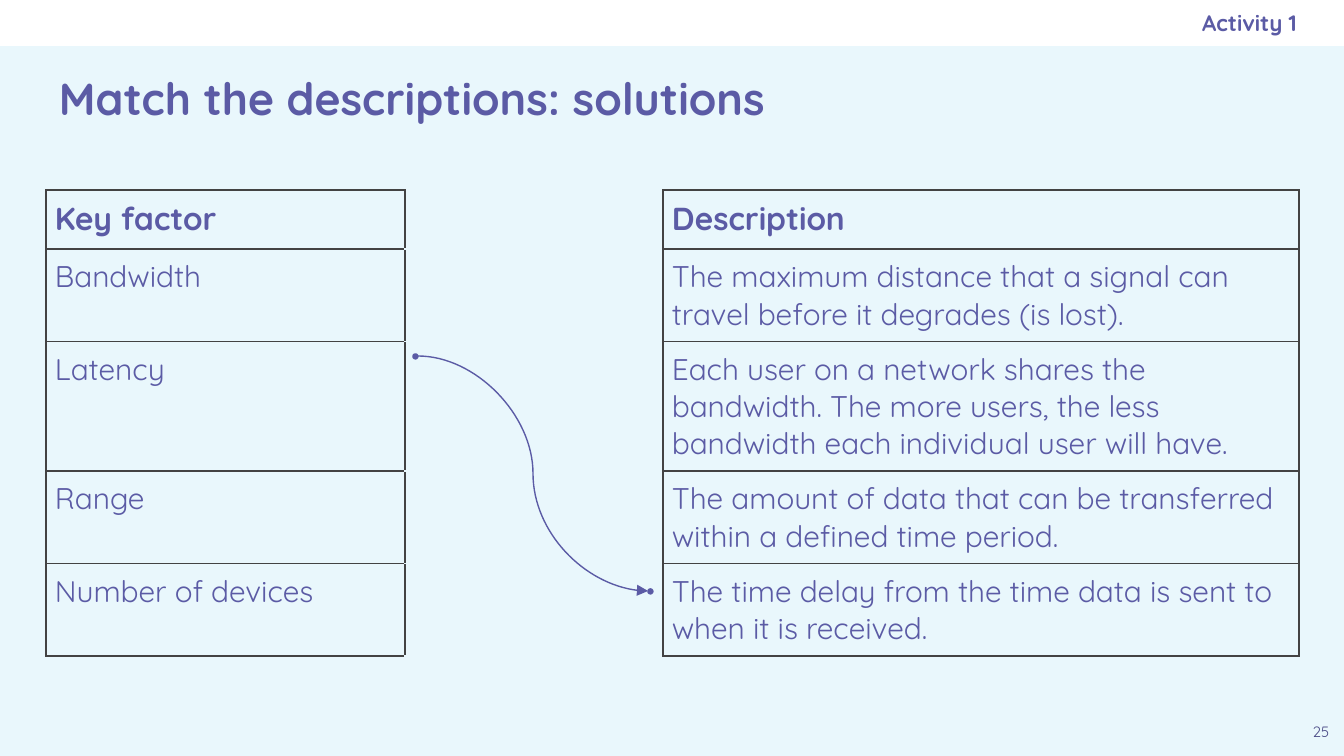
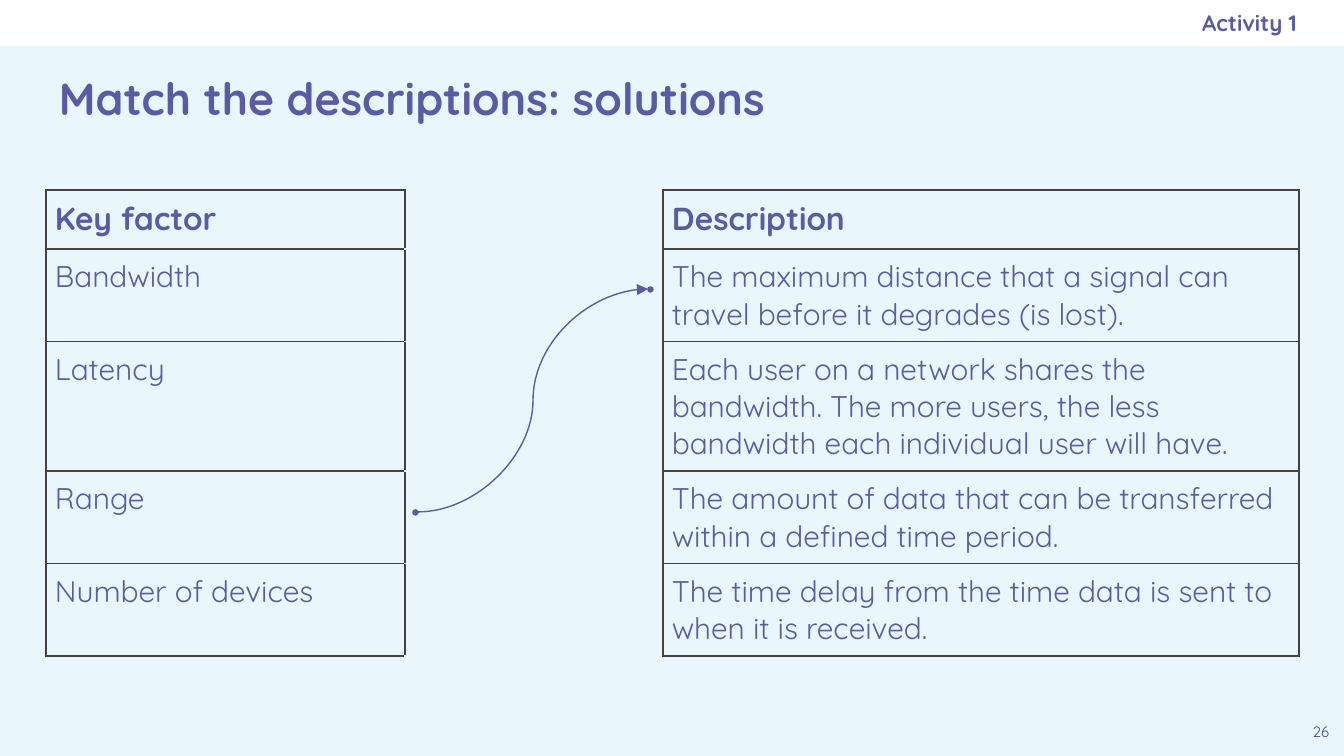
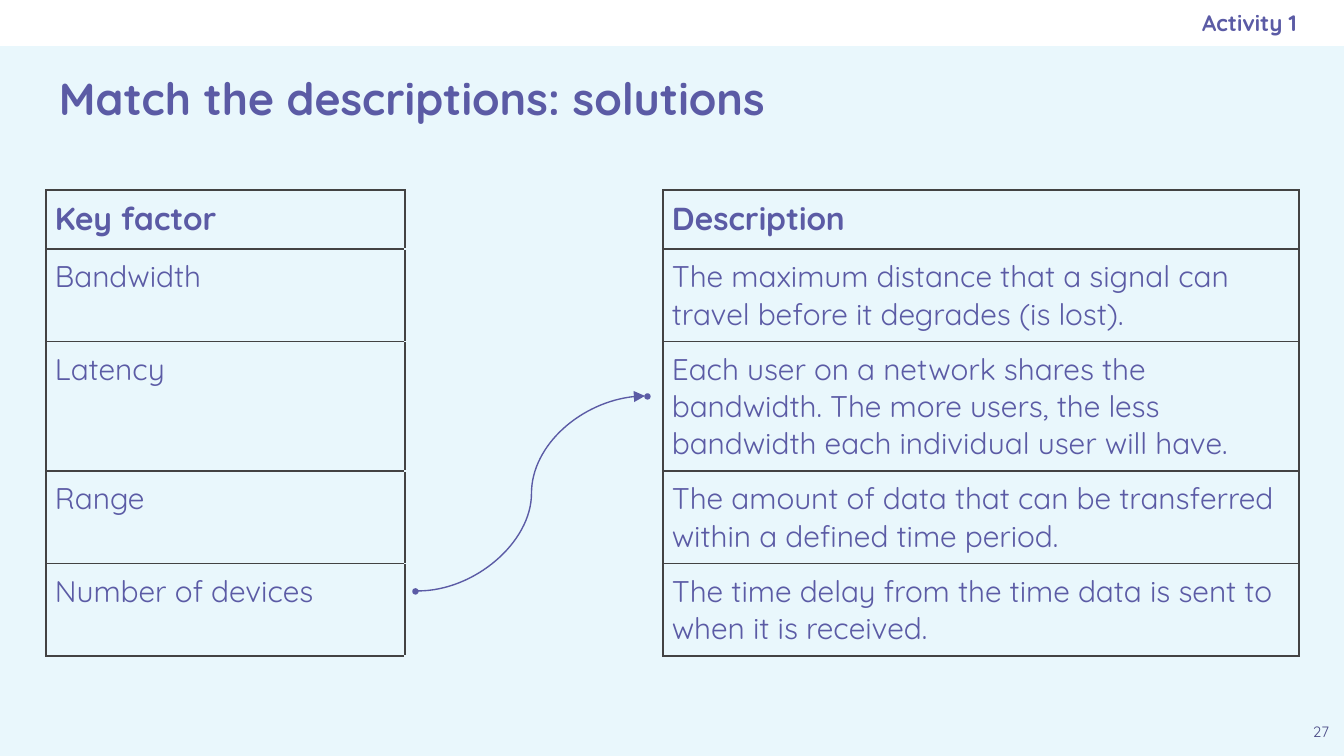
from dataclasses import dataclass

from lxml.etree import SubElement
from pptx import Presentation
from pptx.dml.color import RGBColor
from pptx.enum.shapes import MSO_CONNECTOR as Connector, MSO_SHAPE as Preset
from pptx.enum.text import MSO_ANCHOR as Anchor, MSO_AUTO_SIZE as AutoSize, PP_ALIGN as Align
from pptx.oxml.ns import qn
from pptx.util import Emu, Pt


@dataclass(frozen=True)
class Theme:
    """Colours, font and type sizes in points."""

    background: str = "E9F7FC"
    band: str = "FFFFFF"
    ink: str = "5B5BA5"
    number_ink: str = "494985"
    border: str = "434343"
    font: str = "Quicksand"
    title_size: int = 24
    header_size: int = 17
    body_size: int = 16
    label_size: int = 12
    number_size: int = 8
    border_width: float = 1
    line_width: float = 0.75


@dataclass(frozen=True)
class Box:
    """A rectangle in px."""

    left: int
    top: int
    width: int
    height: int

    def emu(self) -> tuple[Emu, Emu, Emu, Emu]:
        """Return the rectangle in EMU."""
        return px(self.left), px(self.top), px(self.width), px(self.height)


@dataclass(frozen=True)
class Match:
    """A link from a key factor to its description, in px."""

    number: int
    start_y: int
    end_y: int
    end_x: int = 648


THEME = Theme()
EMU_PER_PX = 914400 / 134.4
SLIDE = Box(0, 0, 1344, 756)
BAND = Box(0, 0, 1344, 46)
TITLE = Box(46, 47, 1252, 102)
LABEL = Box(773, 0, 524, 46)
NUMBER = Box(1298, 710, 46, 46)
INSET = 13
CELL_INSET = 9
DOT = 5
START_X = 418
TABLE_LEFT, TABLE_TOP = 46, 190
COLUMNS = (359, 258, 636)
ROWS = (57, 86, 118, 86, 86)
GAP_COLUMN = 1

TITLE_TEXT = "Match the descriptions: solutions"
LABEL_TEXT = "Activity 1"
FACTORS = (
    ("Key factor", "Description"),
    ("Bandwidth", "The maximum distance that a signal can travel before it degrades (is lost)."),
    ("Latency", "Each user on a network shares the bandwidth. The more users, "
                "the less bandwidth each individual user will have."),
    ("Range", "The amount of data that can be transferred within a defined time period."),
    ("Number of devices", "The time delay from the time data is sent to when it is received."),
)
MATCHES = (Match(25, 356, 591), Match(26, 512, 289), Match(27, 591, 396, end_x=645))


def px(length: int) -> Emu:
    """Turn px into EMU."""
    return Emu(round(length * EMU_PER_PX))


def rgb(value: str) -> RGBColor:
    """Turn a hex string into a colour."""
    return RGBColor.from_string(value)


def write(frame, text: str, size: int, bold: bool = False,
          color: str = THEME.ink, align: Align = Align.LEFT) -> None:
    """Put one formatted run in the first paragraph of a text frame."""
    paragraph = frame.paragraphs[0]
    paragraph.alignment = align
    paragraph.space_before = Pt(0)
    run = paragraph.add_run()
    run.text = text
    run.font.name = THEME.font
    run.font.size = Pt(size)
    run.font.bold = bold
    run.font.color.rgb = rgb(color)


def place(shape, box: Box, anchor: Anchor, right_inset: int = INSET):
    """Move a text shape and return its prepared text frame."""
    shape.left, shape.top, shape.width, shape.height = box.emu()
    frame = shape.text_frame
    frame.word_wrap = True
    frame.auto_size = AutoSize.NONE
    frame.vertical_anchor = anchor
    frame.margin_left = frame.margin_top = frame.margin_bottom = px(INSET)
    frame.margin_right = px(right_inset)
    return frame


def add_solid(slide, preset: Preset, box: Box, color: str):
    """Add a filled preset shape without a line or shadow."""
    shape = slide.shapes.add_shape(preset, *box.emu())
    shape.shadow.inherit = False
    shape.fill.solid()
    shape.fill.fore_color.rgb = rgb(color)
    shape.line.fill.background()
    return shape


def style_master(presentation, slide) -> None:
    """Give the slide master its background and top band."""
    master = presentation.slide_master
    fill = master.background.fill
    fill.solid()
    fill.fore_color.rgb = rgb(THEME.background)
    band = add_solid(slide, Preset.RECTANGLE, BAND, THEME.band)
    master.shapes._spTree.insert(2, band._element)


def set_borders(cell, horizontal: str) -> None:
    """Draw the four borders of a cell."""
    properties = cell._tc.get_or_add_tcPr()
    sides = {"L": THEME.border, "R": THEME.border, "T": horizontal, "B": horizontal}
    for side, color in sides.items():
        line = SubElement(properties, qn(f"a:ln{side}"), w=str(Pt(THEME.border_width)))
        SubElement(SubElement(line, qn("a:solidFill")), qn("a:srgbClr"), val=color)


def add_factor_table(slide) -> None:
    """Add the key factors and descriptions around an empty column."""
    box = Box(TABLE_LEFT, TABLE_TOP, sum(COLUMNS), sum(ROWS))
    table = slide.shapes.add_table(len(ROWS), len(COLUMNS), *box.emu()).table
    table.first_row = table.horz_banding = False
    for column, width in zip(table.columns, COLUMNS):
        column.width = px(width)
    for index, (row, height, (factor, description)) in enumerate(zip(table.rows, ROWS, FACTORS)):
        row.height = px(height)
        size = THEME.body_size if index else THEME.header_size
        for position, (cell, text) in enumerate(zip(row.cells, (factor, "", description))):
            set_borders(cell, THEME.background if position == GAP_COLUMN else THEME.border)
            cell.fill.background()
            cell.margin_left = cell.margin_right = px(CELL_INSET)
            cell.margin_top = cell.margin_bottom = px(CELL_INSET)
            if text:
                write(cell.text_frame, text, size, bold=index == 0)


def set_line(line) -> None:
    """Apply the link line style."""
    line.color.rgb = rgb(THEME.ink)
    line.width = Pt(THEME.line_width)


def add_match(slide, match: Match) -> None:
    """Add the two dots and the curved arrow between them."""
    for left, y in ((START_X - DOT, match.start_y), (match.end_x, match.end_y)):
        dot = add_solid(slide, Preset.OVAL, Box(left, y - DOT // 2, DOT, DOT), THEME.ink)
        set_line(dot.line)
    arrow = slide.shapes.add_connector(
        Connector.CURVE, px(START_X), px(match.start_y), px(match.end_x), px(match.end_y))
    set_line(arrow.line)
    SubElement(arrow.line._get_or_add_ln(), qn("a:tailEnd"), type="triangle")
    SubElement(arrow._element.spPr, qn("a:effectLst"))


def add_solution(presentation, match: Match):
    """Add one slide that shows a match."""
    slide = presentation.slides.add_slide(presentation.slide_layouts[0])
    title, label = slide.placeholders
    write(place(title, TITLE, Anchor.MIDDLE), TITLE_TEXT, THEME.title_size, bold=True)
    write(place(label, LABEL, Anchor.MIDDLE, right_inset=0), LABEL_TEXT,
          THEME.label_size, bold=True, align=Align.RIGHT)
    number = slide.shapes.add_textbox(*NUMBER.emu())
    write(place(number, NUMBER, Anchor.TOP), str(match.number), THEME.number_size,
          color=THEME.number_ink, align=Align.CENTER)
    add_factor_table(slide)
    add_match(slide, match)
    return slide


def main() -> None:
    """Build and save the presentation."""
    presentation = Presentation()
    presentation.slide_width, presentation.slide_height = px(SLIDE.width), px(SLIDE.height)
    slides = [add_solution(presentation, match) for match in MATCHES]
    style_master(presentation, slides[0])
    presentation.save("out.pptx")


if __name__ == "__main__":
    main()
